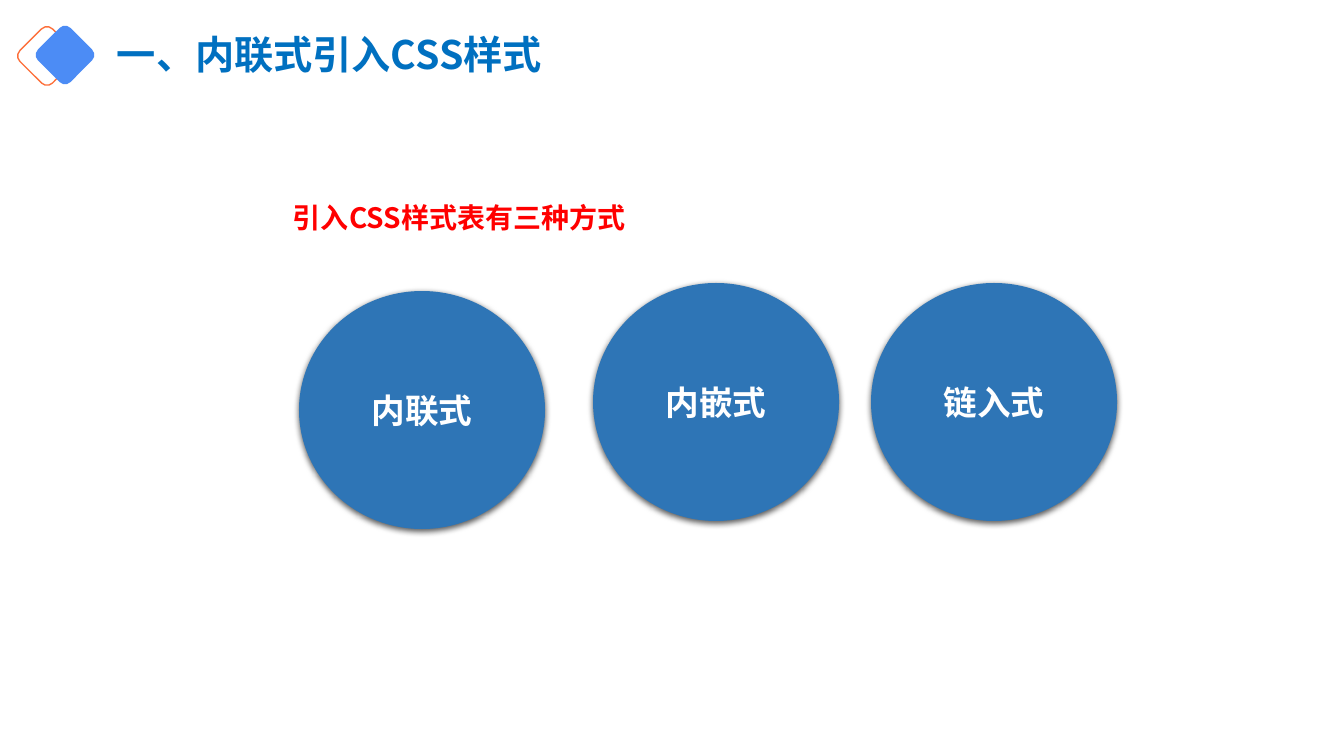
from pptx import Presentation, util as u
from pptx.dml.color import RGBColor
from pptx.enum import shapes, text
from pptx.oxml import parse_xml
from pptx.oxml.ns import nsdecls

FONT = "Noto Sans CJK SC"
PX = 914400 / 100.8


def px(*vals):
    return [u.Emu(round(v * PX)) for v in vals]


def put(frame, words, size, color, align=text.PP_ALIGN.LEFT,
        anchor=text.MSO_ANCHOR.MIDDLE, space=1.0):
    frame.word_wrap = True
    frame.vertical_anchor = anchor
    para = frame.paragraphs[0]
    para.alignment = align
    para.line_spacing = space
    run = para.add_run()
    run.text = words
    font = run.font
    font.size, font.bold, font.name = u.Pt(size), True, FONT
    font.color.rgb = RGBColor.from_string(color)
    # East Asian text takes its own typeface
    font._element.append(parse_xml(f'<a:ea {nsdecls("a")} typeface="{FONT}"/>'))


deck = Presentation()
deck.slide_width, deck.slide_height = u.Inches(13.333), u.Inches(7.5)
slide = deck.slides.add_slide(deck.slide_layouts[6])
parts = slide.shapes

# Header diamonds: outlined, then filled
for left, top, fill, line in [(24, 33, None, "FD703B"), (42, 32, "4C8CF5", None)]:
    gem = parts.add_shape(shapes.MSO_SHAPE.ROUNDED_RECTANGLE, *px(left, top, 46, 46))
    gem.rotation = 45
    gem.shadow.inherit = False
    if fill:
        gem.fill.solid()
        gem.fill.fore_color.rgb = RGBColor.from_string(fill)
        gem.line.fill.background()
    else:
        gem.fill.background()
        gem.line.color.rgb = RGBColor.from_string(line)
        gem.line.width = u.Pt(1)

# Title and lead line
title = parts.add_textbox(*px(107, 17, 517, 80))
put(title.text_frame, "一、内联式引入CSS样式", 28, "0070C0", space=0.9)
lead = parts.add_textbox(*px(283, 179, 391, 61))
put(lead.text_frame, "引入CSS样式表有三种方式", 20, "FF0000",
    anchor=text.MSO_ANCHOR.TOP, space=1.5)

# Three ways as discs with a soft shadow
SHADE = (f'<a:effectLst {nsdecls("a")}><a:outerShdw blurRad="57150" dist="19050" '
         'dir="5400000" algn="ctr" rotWithShape="0"><a:srgbClr val="000000">'
         '<a:alpha val="63000"/></a:srgbClr></a:outerShdw></a:effectLst>')
for left, top, name in [(299, 291, "内联式"), (593, 283, "内嵌式"), (871, 283, "链入式")]:
    disc = parts.add_shape(shapes.MSO_SHAPE.OVAL, *px(left, top, 246, 238))
    disc.fill.solid()
    disc.fill.fore_color.rgb = RGBColor.from_string("2E75B6")
    disc.line.fill.background()
    disc._element.spPr.append(parse_xml(SHADE))
    put(disc.text_frame, name, 24, "FFFFFF", align=text.PP_ALIGN.CENTER)

deck.save("out.pptx")
